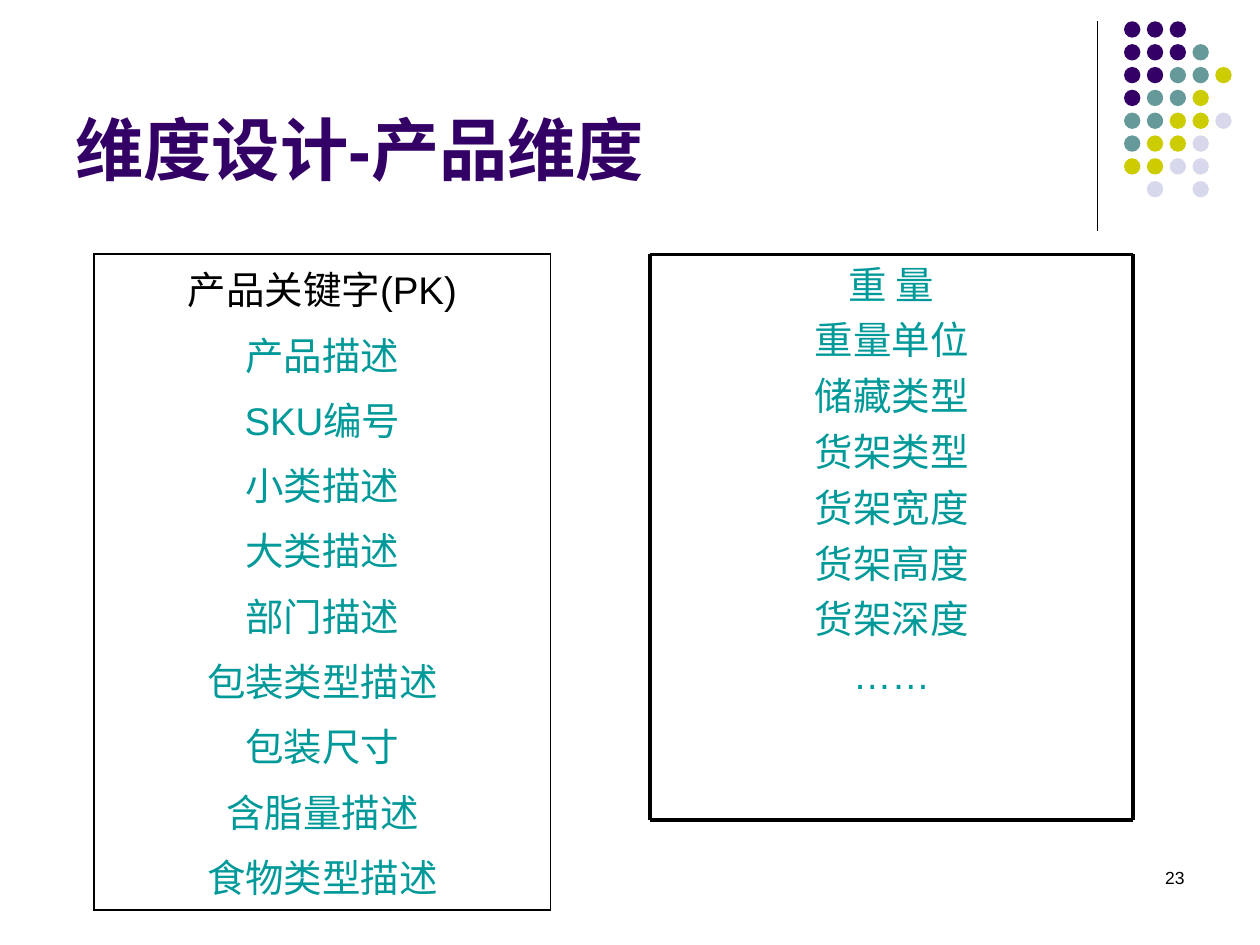
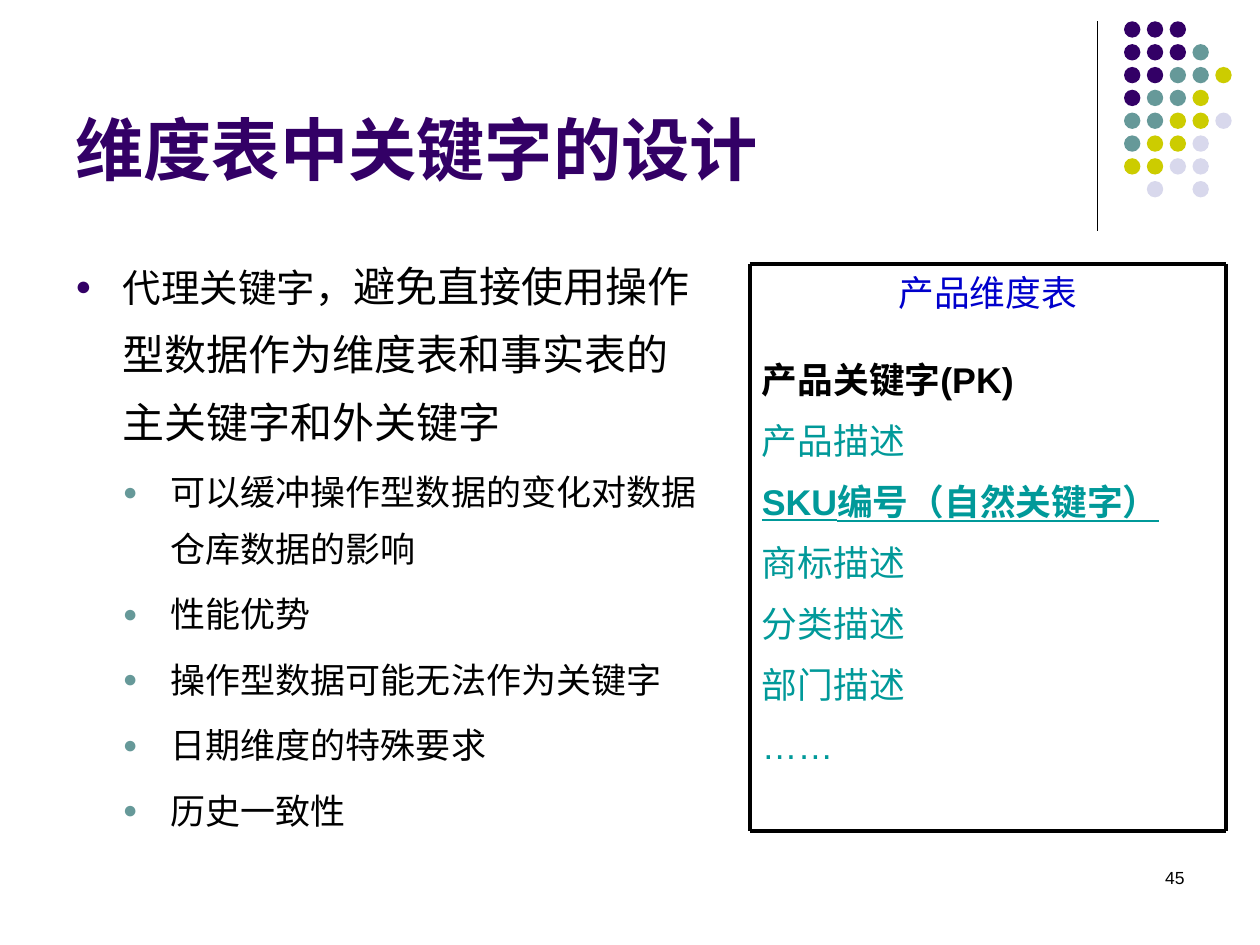
from dataclasses import dataclass

from lxml import etree
from pptx import Presentation
from pptx import util as u
from pptx.dml.color import RGBColor
from pptx.enum import shapes, text
from pptx.oxml import ns

FONT = "Arial"
BLACK = RGBColor(0x00, 0x00, 0x00)
PURPLE = RGBColor(0x33, 0x00, 0x66)
SAGE = RGBColor(0x66, 0x99, 0x99)
OLIVE = RGBColor(0xCC, 0xCC, 0x00)
LAVENDER = RGBColor(0xD8, 0xD8, 0xEC)
TEAL = RGBColor(0x00, 0x99, 0x99)
BLUE = RGBColor(0x00, 0x00, 0xCC)

DOT_COLOURS = {"P": PURPLE, "S": SAGE, "O": OLIVE, "L": LAVENDER}
DOT_ROWS = ["PPP", "PPPS", "PPSSO", "PSSO", "SSOOL", "SOOL", "OOLL", " L L"]
DOT_PITCH = 0.46
DOT_SIZE = 0.33
HANGING = 0.96
FIELD_GAP = 5.5

LEFT = text.PP_ALIGN.LEFT
CENTER = text.PP_ALIGN.CENTER
RIGHT = text.PP_ALIGN.RIGHT


@dataclass
class Entry:
    """One paragraph of a list, with its look."""

    words: str
    size: float
    colour: RGBColor = BLACK
    align: text.PP_ALIGN = LEFT
    before: float = 0
    bold: bool = False
    underline: bool = False
    spacing: float = 1.0


def format_run(run, size, entry):
    """Give a run the font of its entry at the given size."""
    run.font.name = FONT
    run.font.size = u.Pt(size)
    run.font.bold = entry.bold
    run.font.underline = entry.underline
    run.font.color.rgb = entry.colour


def write_entries(frame, entries):
    """Fill a text frame with one paragraph per entry."""
    frame.text = "\n".join(entry.words for entry in entries)
    for paragraph, entry in zip(frame.paragraphs, entries):
        paragraph.alignment = entry.align
        paragraph.space_before = u.Pt(entry.before)
        paragraph.line_spacing = entry.spacing
        for run in paragraph.runs:
            format_run(run, entry.size, entry)


def add_text(slide, left, top, width, height, entries, anchor=text.MSO_ANCHOR.TOP):
    """Add a wrapping text box, measured in centimetres."""
    box = slide.shapes.add_textbox(*map(u.Cm, (left, top, width, height)))
    frame = box.text_frame
    frame.word_wrap = True
    frame.vertical_anchor = anchor
    write_entries(frame, entries)
    return frame


def add_line(slide, start, end, weight):
    """Draw a straight black line between two points."""
    line = slide.shapes.add_connector(
        shapes.MSO_CONNECTOR.STRAIGHT, *map(u.Cm, (*start, *end))
    )
    line.line.color.rgb = BLACK
    line.line.width = u.Pt(weight)
    etree.SubElement(line._element.spPr, ns.qn("a:effectLst"))


def add_dots(slide):
    """Draw the corner pattern of coloured dots."""
    pattern = slide.shapes.add_group_shape()
    for row, letters in enumerate(DOT_ROWS):
        for column, letter in enumerate(letters):
            if letter not in DOT_COLOURS:
                continue
            dot = pattern.shapes.add_shape(
                shapes.MSO_SHAPE.OVAL,
                u.Cm(22.66 + column * DOT_PITCH),
                u.Cm(0.43 + row * DOT_PITCH),
                u.Cm(DOT_SIZE),
                u.Cm(DOT_SIZE),
            )
            dot.shadow.inherit = False
            dot.fill.solid()
            dot.fill.fore_color.rgb = DOT_COLOURS[letter]
            dot.line.fill.background()


def add_base_slide(deck, title, number):
    """Add a slide with the shared corner, title and page number."""
    slide = deck.slides.add_slide(deck.slide_layouts[6])
    add_line(slide, (22.12, 0.43), (22.12, 4.65), 0.75)
    add_dots(slide)
    add_text(slide, 18.21, 17.35, 5.92, 1.27, [Entry(number, 10, align=RIGHT)])
    heading = Entry(title, 39, PURPLE, bold=True)
    add_text(slide, 1.27, 0.33, 20.96, 3.61, [heading], text.MSO_ANCHOR.BOTTOM)
    return slide


def add_framed_list(slide, left, top, width, height, entries):
    """Add a list inside a frame of four heavy lines."""
    add_text(slide, left, top, width, height, entries)
    right, bottom = left + width, top + height
    for y in (top, bottom):
        add_line(slide, (left, y), (right, y), 2.25)
    for x in (left, right):
        add_line(slide, (x, top), (x, bottom), 2.25)


def add_field_table(slide, left, top, width, height, entries):
    """Add a bordered one-cell table listing the fields."""
    table = slide.shapes.add_table(
        1, 1, *map(u.Cm, (left, top, width, height))
    ).table
    table.first_row = False
    table.horz_banding = False
    cell = table.cell(0, 0)
    write_entries(cell.text_frame, entries)
    cell.fill.background()
    properties = cell._tc.get_or_add_tcPr()
    for position, side in enumerate(("lnL", "lnR", "lnT", "lnB")):
        border = etree.Element(ns.qn(f"a:{side}"), w=str(u.Pt(1.08)))
        fill = etree.SubElement(border, ns.qn("a:solidFill"))
        etree.SubElement(fill, ns.qn("a:srgbClr"), val=str(BLACK))
        properties.insert(position, border)


def add_bullet(paragraph, level, colour):
    """Give a paragraph a hanging round bullet."""
    properties = paragraph._p.get_or_add_pPr()
    properties.set("marL", str(u.Cm(HANGING * level)))
    properties.set("indent", str(-u.Cm(HANGING)))
    bullet_colour = etree.SubElement(properties, ns.qn("a:buClr"))
    etree.SubElement(bullet_colour, ns.qn("a:srgbClr"), val=str(colour))
    etree.SubElement(properties, ns.qn("a:buSzPct"), val="70000")
    etree.SubElement(properties, ns.qn("a:buFont"), typeface=FONT)
    etree.SubElement(properties, ns.qn("a:buChar"), char="●")


def add_key_points(slide, lead, statement, points):
    """Add the main statement with its supporting points."""
    main_point = Entry(lead, 22, before=6, spacing=1.35)
    details = [Entry(point, 20, before=5, spacing=1.35) for point in points]
    frame = add_text(slide, 1.27, 4.78, 13.23, 12.24, [main_point, *details])
    first, *others = frame.paragraphs
    rest = first.add_run()
    rest.text = statement
    format_run(rest, 24, main_point)
    add_bullet(first, 1, PURPLE)
    for paragraph in others:
        add_bullet(paragraph, 2, SAGE)


def build_product_dimension(deck):
    """Build the slide listing the fields of the product dimension."""
    slide = add_base_slide(deck, "维度设计-产品维度", "23")
    fields = ["产品描述", "SKU编号", "小类描述", "大类描述", "部门描述",
              "包装类型描述", "包装尺寸", "含脂量描述", "食物类型描述"]
    key = Entry("产品关键字(PK)", 22, BLACK, CENTER, FIELD_GAP)
    described = [Entry(field, 22, TEAL, CENTER, FIELD_GAP) for field in fields]
    add_field_table(slide, 1.9, 5.12, 9.2, 13.23, [key, *described])
    measures = ["重量单位", "储藏类型", "货架类型",
                "货架宽度", "货架高度", "货架深度", "……"]
    add_framed_list(slide, 13.11, 5.13, 9.73, 11.4, [
        Entry("重 量", 22, TEAL, CENTER),
        *[Entry(measure, 22, TEAL, CENTER, FIELD_GAP) for measure in measures],
    ])


def build_key_design(deck):
    """Build the slide on key design in dimension tables."""
    slide = add_base_slide(deck, "维度表中关键字的设计", "45")
    add_key_points(
        slide,
        "代理关键字，",
        "避免直接使用操作型数据作为维度表和事实表的主关键字和外关键字",
        ["可以缓冲操作型数据的变化对数据仓库数据的影响", "性能优势",
         "操作型数据可能无法作为关键字", "日期维度的特殊要求", "历史一致性"],
    )
    size = 20.4
    look = {"before": FIELD_GAP, "spacing": 1.2}
    descriptions = ["商标描述", "分类描述", "部门描述", "……"]
    add_framed_list(slide, 15.11, 5.33, 9.6, 11.43, [
        Entry("产品维度表", size, BLUE, CENTER),
        Entry("产品关键字(PK)", size, before=20.7, bold=True, spacing=1.2),
        Entry("产品描述", size, TEAL, **look),
        Entry("SKU编号（自然关键字）", size, TEAL, bold=True, underline=True, **look),
        *[Entry(words, size, TEAL, **look) for words in descriptions],
    ])


def main():
    """Build the deck and save it."""
    deck = Presentation()
    deck.slide_width, deck.slide_height = u.Cm(25.4), u.Cm(19.05)
    build_product_dimension(deck)
    build_key_design(deck)
    deck.save("out.pptx")


if __name__ == "__main__":
    main()
